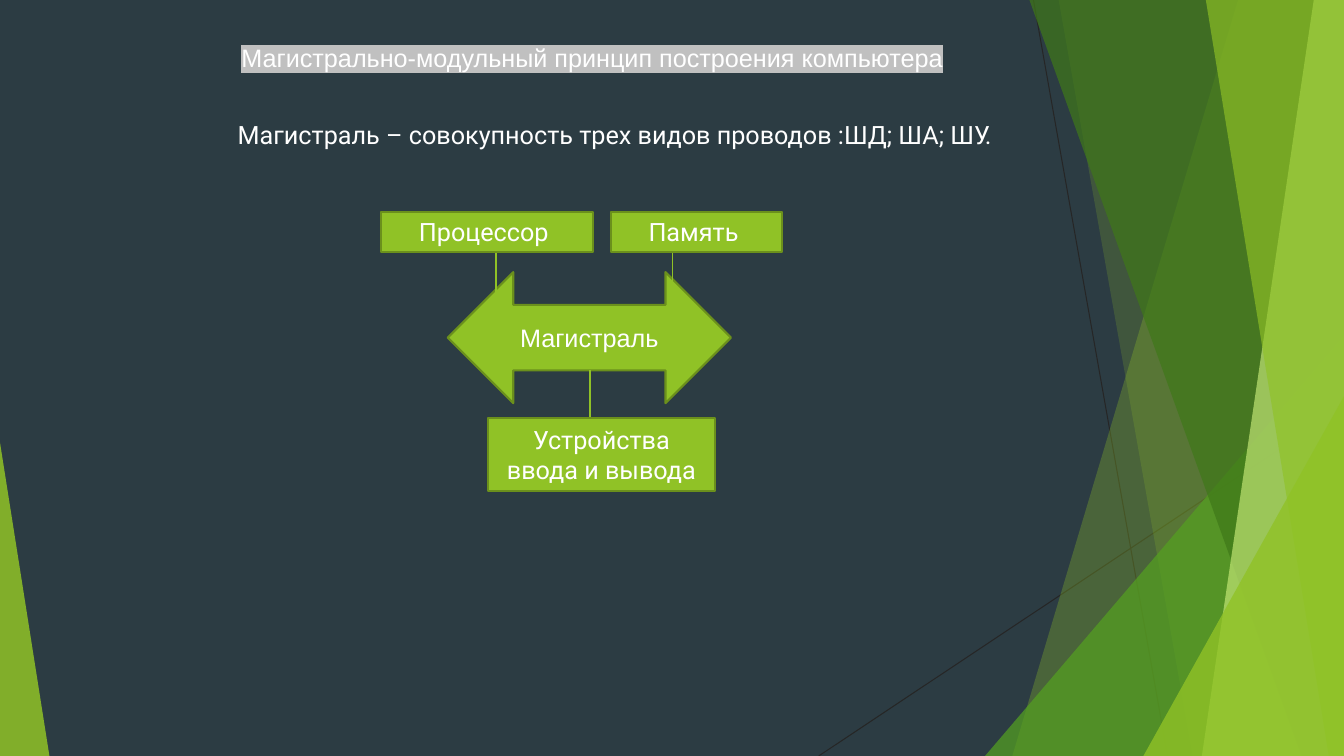
import pptx
import pptx.util
import pptx.dml.color
import pptx.enum.dml
import pptx.enum.shapes
import pptx.enum.text
import pptx.oxml
import pptx.oxml.ns
from lxml import etree

Inches, Pt = pptx.util.Inches, pptx.util.Pt
RGBColor = pptx.dml.color.RGBColor
Shapes = pptx.enum.shapes.MSO_SHAPE
Align = pptx.enum.text.PP_ALIGN
Anchor = pptx.enum.text.MSO_ANCHOR
qn = pptx.oxml.ns.qn

BACKGROUND = RGBColor(0x2C, 0x3C, 0x43)
WHITE = RGBColor(0xFF, 0xFF, 0xFF)
HAIRLINE = RGBColor(0x26, 0x26, 0x26)
LIME = RGBColor(0x90, 0xC2, 0x26)
LIME_EDGE = RGBColor(0x6B, 0x90, 0x1C)
PALE_LIME = RGBColor(0xC0, 0xE4, 0x74)
GREEN = RGBColor(0x54, 0xA0, 0x21)
FOREST = RGBColor(0x3F, 0x78, 0x19)
HIGHLIGHT = RGBColor(0xC0, 0xC0, 0xC0)

WIDTH, HEIGHT = 13.33, 7.5

# Content: text, font, place (left, top, width, height)
TITLE = ("Магистрально-модульный принцип построения компьютера", "Arial",
         (2.26, 0.37, 7.23, 0.4))
DEFINITION = ("Магистраль – совокупность трех видов проводов :ШД; ША; ШУ.", "Roboto",
              (2.26, 1.13, 7.7, 0.4))
BUS = ("Магистраль", "Arial", (4.44, 2.7, 2.81, 1.3))
DEVICES = [
    ("Процессор ", "Roboto", (3.78, 2.1, 2.1, 0.4)),
    ("Память ", "Roboto", (6.06, 2.1, 1.7, 0.4)),
    ("Устройства ввода и вывода", "Roboto", (4.84, 4.15, 2.25, 0.72)),
]
BUS_LINKS = [(4.92, 2.49, 3.21), (6.67, 2.45, 3.75), (5.85, 3.67, 4.19)]  # x, top, bottom

# Decoration: hairlines; bands (top x, bottom x, colour, opacity) reaching the
# right edge; triangles (left, top, width, apex, colour, opacity) on the bottom edge
HAIRLINES = [(10.25, 0, 11.58, HEIGHT), (WIDTH, 4.03, 8.12, HEIGHT)]
BACK_BANDS = [(12.28, 10.04, LIME, 30), (10.5, 11.83, LIME, 20)]
FRONT_BANDS = [(10.21, 12.91, FOREST, 70), (13.03, 11.92, PALE_LIME, 70),
               (11.96, 13.18, LIME, 65)]
BACK_TRIANGLES = [(9.77, 3.33, 3.56, 1, GREEN, 72)]
FRONT_TRIANGLES = [(11.34, 3.93, 1.99, 1, LIME, 80), (0, 4.39, 0.49, 0, LIME, 85)]


def add_line(slide, x1, y1, x2, y2, color, weight):
    line = slide.shapes.add_connector(pptx.enum.shapes.MSO_CONNECTOR.STRAIGHT,
                                      *map(Inches, (x1, y1, x2, y2)))
    line.line.color.rgb = color
    line.line.width = Pt(weight)
    etree.SubElement(line._element.spPr, qn("a:effectLst"))


def paint_translucent(shape, color, opacity):
    shape.shadow.inherit = False
    shape.line.fill.background()
    shape.fill.solid()
    shape.fill.fore_color.rgb = color
    fill_color = shape._element.spPr.find(qn("a:solidFill"))[0]
    etree.SubElement(fill_color, qn("a:alpha"), val=str(opacity * 1000))


def add_bands(slide, bands):
    for top_x, bottom_x, color, opacity in bands:
        corners = [(Inches(x), Inches(y)) for x, y in
                   ((top_x, 0), (WIDTH, 0), (WIDTH, HEIGHT), (bottom_x, HEIGHT))]
        outline = slide.shapes.build_freeform(*corners[0])
        outline.add_line_segments(corners[1:], close=True)
        paint_translucent(outline.convert_to_shape(), color, opacity)


def add_triangles(slide, triangles):
    for left, top, width, apex, color, opacity in triangles:
        triangle = slide.shapes.add_shape(
            Shapes.ISOSCELES_TRIANGLE, *map(Inches, (left, top, width, HEIGHT - top)))
        triangle.adjustments[0] = apex
        paint_translucent(triangle, color, opacity)


def write(shape, text, font_name, align, anchor):
    frame = shape.text_frame
    frame.text = text
    frame.vertical_anchor = anchor
    paragraph = frame.paragraphs[0]
    paragraph.alignment = align
    paragraph.font.name = font_name
    paragraph.font.size = Pt(18)
    paragraph.font.bold = False
    paragraph.font.color.rgb = WHITE


def write_single_line(shape, text, font_name, align):
    write(shape, text, font_name, align, Anchor.TOP)
    shape.text_frame.word_wrap = False
    shape.text_frame.auto_size = pptx.enum.text.MSO_AUTO_SIZE.SHAPE_TO_FIT_TEXT


def add_block(slide, kind, text, font_name, place):
    block = slide.shapes.add_shape(kind, *map(Inches, place))
    block.shadow.inherit = False
    block.fill.solid()
    block.fill.fore_color.rgb = LIME
    block.line.color.rgb = LIME_EDGE
    block.line.width = Pt(1.5)
    write(block, text, font_name, Align.CENTER, Anchor.MIDDLE)


def main():
    deck = pptx.Presentation()
    deck.slide_width, deck.slide_height = Inches(WIDTH), Inches(HEIGHT)
    slide = deck.slides.add_slide(deck.slide_layouts[5])
    slide.background.fill.solid()
    slide.background.fill.fore_color.rgb = BACKGROUND

    # Decoration, back to front
    for ends in HAIRLINES:
        add_line(slide, *ends, HAIRLINE, 0.75)
    add_bands(slide, BACK_BANDS)
    add_triangles(slide, BACK_TRIANGLES)
    add_bands(slide, FRONT_BANDS)
    add_triangles(slide, FRONT_TRIANGLES)

    # Highlighted title
    text, font_name, place = TITLE
    title = slide.shapes.title
    title.left, title.top, title.width, title.height = map(Inches, place)
    write_single_line(title, text, font_name, Align.CENTER)
    run_format = title.text_frame.paragraphs[0].runs[0]._r.get_or_add_rPr()
    highlight = etree.SubElement(run_format, qn("a:highlight"))
    etree.SubElement(highlight, qn("a:srgbClr"), val=str(HIGHLIGHT))

    # Definition
    text, font_name, place = DEFINITION
    definition = slide.shapes.add_textbox(*map(Inches, place))
    write_single_line(definition, text, font_name, Align.LEFT)

    # Bus diagram: the links lie over the bus and under the devices
    add_block(slide, Shapes.LEFT_RIGHT_ARROW, *BUS)
    for x, top, bottom in BUS_LINKS:
        add_line(slide, x, top, x, bottom, LIME, 1)
    for device in DEVICES:
        add_block(slide, Shapes.RECTANGLE, *device)

    deck.save("out.pptx")


if __name__ == "__main__":
    main()
